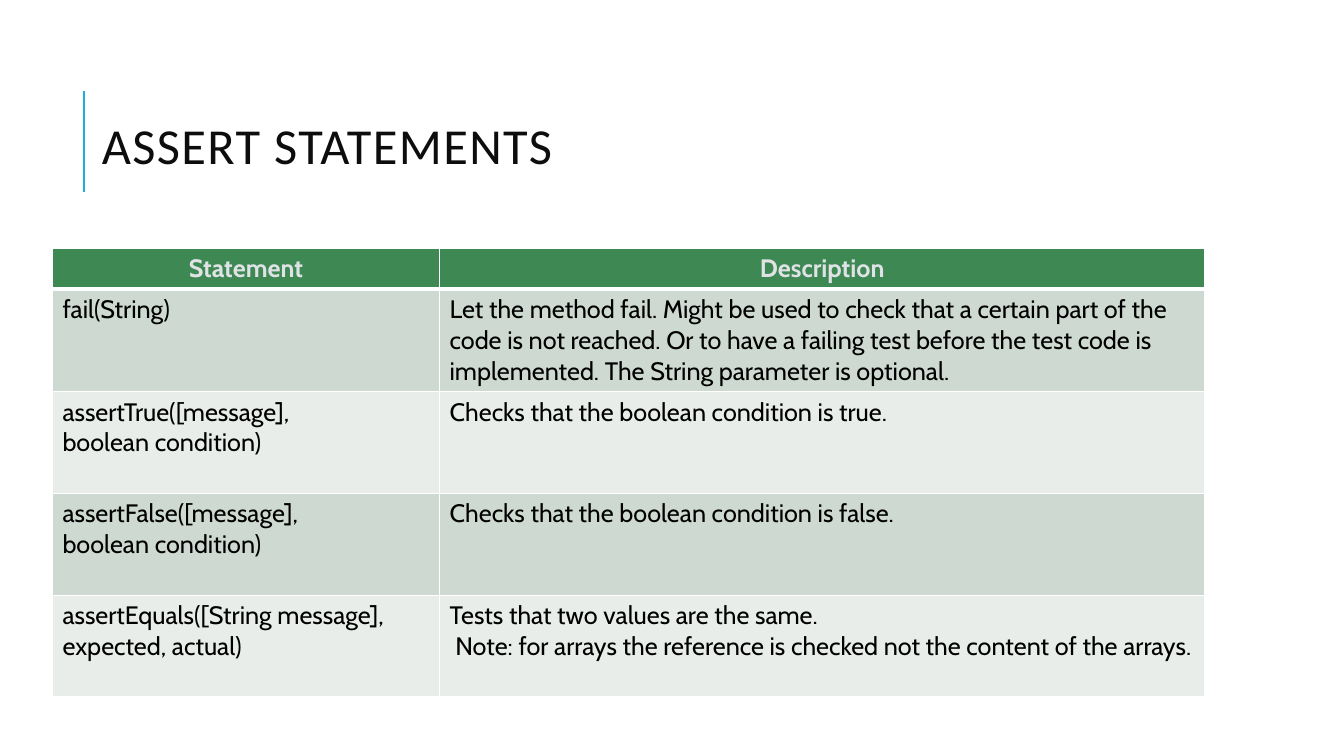
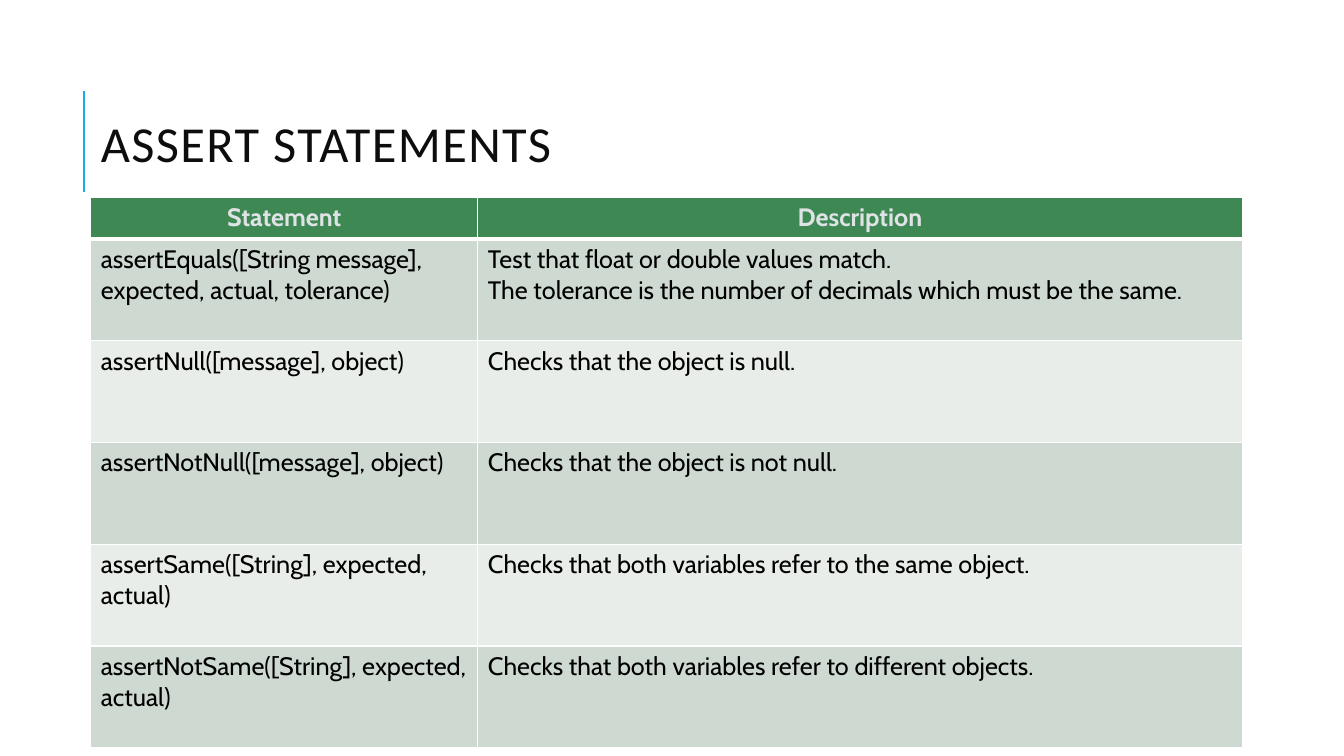
"""Build two slides that list assert statements in styled tables."""
import pptx
import pptx.dml.color
import pptx.enum.shapes
import pptx.enum.text
import pptx.oxml
import pptx.oxml.ns
import pptx.util

Inches = pptx.util.Inches
Pt = pptx.util.Pt
RGBColor = pptx.dml.color.RGBColor
ALIGN = pptx.enum.text.PP_ALIGN
qn = pptx.oxml.ns.qn

TITLE = "ASSERT STATEMENTS"
HEADINGS = ("Statement", "Description")
SLIDES = [
    {
        "title_at": (0.91, 0.86),
        "table_at": (0.52, 2.46),
        "columns": (3.84, 7.59),
        "rows": [
            ("fail(String)",
             "Let the method fail. Might be used to check that a certain part of the "
             "code is not reached. Or to have a failing test before the test code is "
             "implemented. The String parameter is optional."),
            ("assertTrue([message],\nboolean condition)",
             "Checks that the boolean condition is true."),
            ("assertFalse([message],\nboolean condition)",
             "Checks that the boolean condition is false."),
            ("assertEquals([String message], expected, actual)",
             "Tests that two values are the same.\n"
             " Note: for arrays the reference is checked not the content of the arrays."),
        ],
    },
    {
        "title_at": (0.9, 0.84),
        "table_at": (0.9, 1.96),
        "columns": (3.84, 7.58),
        "rows": [
            ("assertEquals([String message], expected, actual, tolerance)",
             "Test that float or double values match.\n"
             "The tolerance is the number of decimals which must be the same."),
            ("assertNull([message], object)", "Checks that the object is null."),
            ("assertNotNull([message], object)", "Checks that the object is not null."),
            ("assertSame([String], expected, actual)",
             "Checks that both variables refer to the same object."),
            ("assertNotSame([String], expected, actual)",
             "Checks that both variables refer to different objects."),
        ],
    },
]

ACCENT = RGBColor(0x1C, 0xAD, 0xE4)
HEADER_FILL = RGBColor(0x3E, 0x88, 0x53)
BAND_FILLS = (RGBColor(0xCE, 0xDA, 0xD1), RGBColor(0xE8, 0xED, 0xE9))
BORDER = RGBColor(0xFF, 0xFF, 0xFF)
TITLE_FONT = {"name": "Calibri", "size": Pt(36), "bold": False}
TITLE_COLOR = RGBColor(0x0D, 0x0D, 0x0D)
HEADER_FONT = {"name": "Cabin", "size": Pt(18), "bold": True}
HEADER_COLOR = RGBColor(0xDF, 0xE3, 0xE5)
BODY_FONT = {**HEADER_FONT, "bold": False}
BODY_COLOR = RGBColor(0x00, 0x00, 0x00)
TITLE_SIZE = (10, 1.25)
HEADER_HEIGHT, ROW_HEIGHT = 0.41, 1.01


def set_attributes(target, values):
    for name, value in values.items():
        setattr(target, name, value)


def format_text(text_frame, font, color, align):
    for paragraph in text_frame.paragraphs:
        paragraph.alignment = align
        for run in paragraph.runs:
            set_attributes(run.font, font)
            run.font.color.rgb = color


def add_title_rule(slide):
    """Draw the accent line once and move it to the shared layout."""
    rule = slide.shapes.add_connector(
        pptx.enum.shapes.MSO_CONNECTOR.STRAIGHT,
        Inches(0.83), Inches(1.9), Inches(0.83), Inches(0.9))
    rule.line.color.rgb = ACCENT
    rule.line.width = Pt(1.5)
    properties = rule.element.find(qn("p:spPr"))
    properties.append(properties.makeelement(qn("a:effectLst"), {}))
    slide.slide_layout.shapes.element.append(rule.element)


def add_title(slide, position):
    title = slide.shapes.title
    left, top, width, height = map(Inches, position + TITLE_SIZE)
    set_attributes(title, {"left": left, "top": top, "width": width, "height": height})
    frame = title.text_frame
    frame.text = TITLE
    set_attributes(frame, {
        "word_wrap": True,
        "auto_size": pptx.enum.text.MSO_AUTO_SIZE.NONE,
        "vertical_anchor": pptx.enum.text.MSO_ANCHOR.MIDDLE,
    })
    format_text(frame, TITLE_FONT, TITLE_COLOR, ALIGN.LEFT)
    frame.paragraphs[0].line_spacing = 0.8
    for properties in title.element.iter(qn("a:rPr")):
        properties.set("spc", "100")


def add_borders(cell_properties, bottom_width):
    widths = {"lnL": 1, "lnR": 1, "lnT": 1, "lnB": bottom_width}
    for index, (tag, width) in enumerate(widths.items()):
        cell_properties.insert(index, pptx.oxml.parse_xml(
            f'<a:{tag} {pptx.oxml.ns.nsdecls("a")} w="{Pt(width)}"><a:solidFill>'
            f'<a:srgbClr val="{BORDER}"/></a:solidFill></a:{tag}>'))


def add_statement_table(slide, position, columns, rows):
    heights = [HEADER_HEIGHT] + [ROW_HEIGHT] * len(rows)
    left, top, width, height = map(Inches, position + (sum(columns), sum(heights)))
    frame = slide.shapes.add_table(len(heights), len(columns), left, top, width, height)
    table = frame.table
    for column, column_width in zip(table.columns, columns):
        column.width = Inches(column_width)
    for index, (row, texts) in enumerate(zip(table.rows, [HEADINGS] + rows)):
        row.height = Inches(heights[index])
        if index == 0:
            fill, style = HEADER_FILL, (HEADER_FONT, HEADER_COLOR, ALIGN.CENTER)
        else:
            fill = BAND_FILLS[(index - 1) % len(BAND_FILLS)]
            style = (BODY_FONT, BODY_COLOR, ALIGN.LEFT)
        for cell, text in zip(row.cells, texts):
            cell.fill.solid()
            cell.fill.fore_color.rgb = fill
            cell.text_frame.text = text
            format_text(cell.text_frame, *style)
    for index, cell_properties in enumerate(frame.element.iter(qn("a:tcPr"))):
        add_borders(cell_properties, 3 if index < len(columns) else 1)


def main():
    presentation = pptx.Presentation()
    presentation.slide_width = Inches(13.33)
    presentation.slide_height = Inches(7.5)
    layout = presentation.slide_layouts.get_by_name("Title Only")
    for number, content in enumerate(SLIDES):
        slide = presentation.slides.add_slide(layout)
        if number == 0:
            add_title_rule(slide)
        add_title(slide, content["title_at"])
        add_statement_table(slide, content["table_at"], content["columns"], content["rows"])
    presentation.save("out.pptx")


if __name__ == "__main__":
    main()
